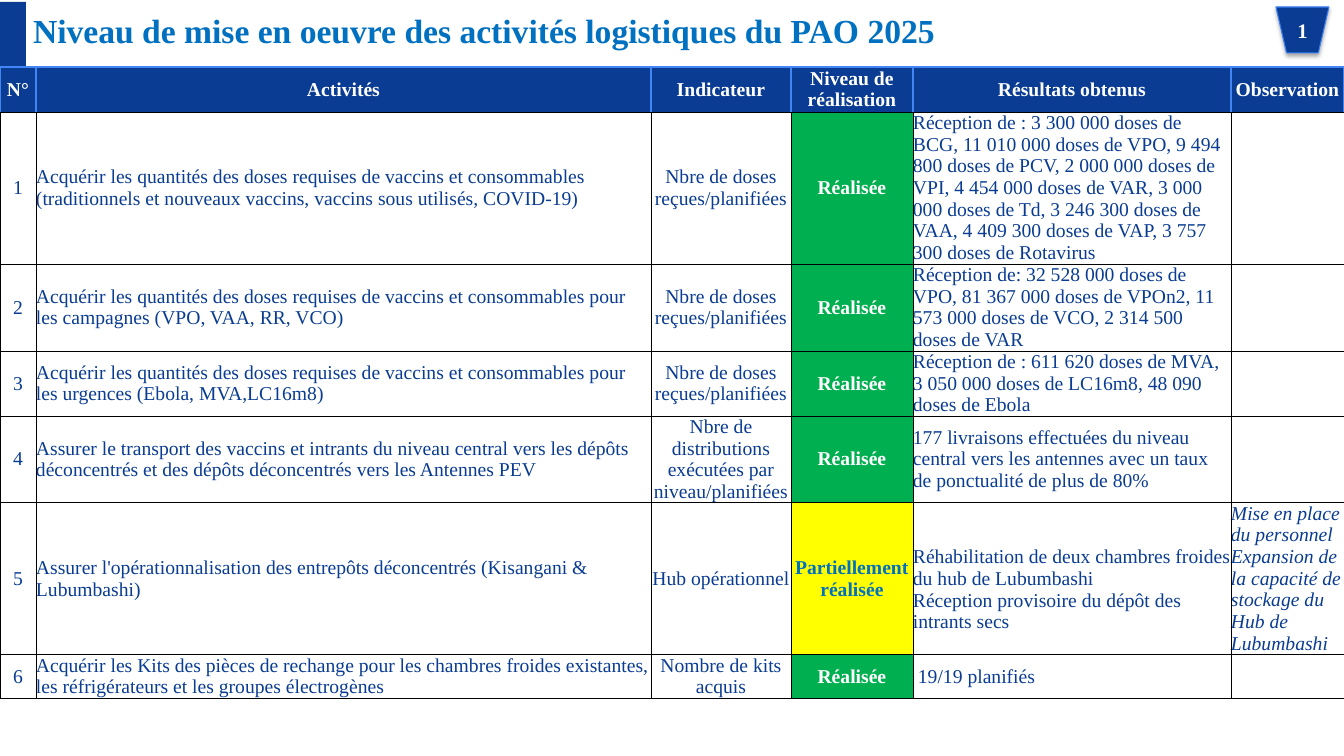
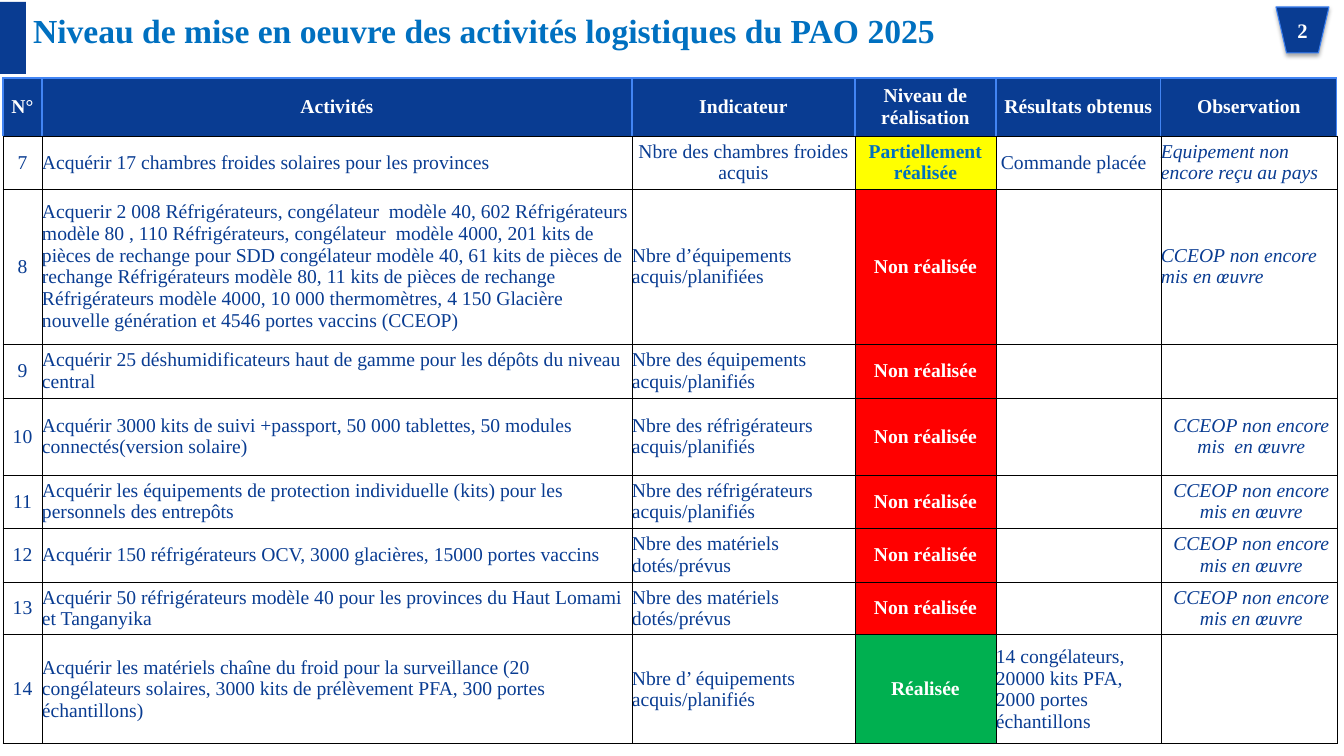
import pptx
import pptx.util
import pptx.dml.color
import pptx.enum.shapes
import pptx.enum.text
import pptx.oxml
import pptx.oxml.ns
from dataclasses import dataclass

SCALE = 914400 / 100.8  # EMU in one px
WIDE, HIGH = 1344, 756


@dataclass(frozen=True)
class Theme:
    font: str = "Times New Roman"
    navy: str = "093C92"
    blue: str = "0070C0"
    edge: str = "3C81F3"
    rule: str = "4285F4"
    white: str = "FFFFFF"
    black: str = "000000"
    green: str = "00B050"
    yellow: str = "FFFF00"
    red: str = "FF0000"
    head: float = 24
    badge: float = 14.7
    body: float = 14


THEME = Theme()
ALIGN = pptx.enum.text.PP_ALIGN
MIDDLE = pptx.enum.text.MSO_ANCHOR.MIDDLE
SHAPE = pptx.enum.shapes.MSO_SHAPE

TITLE = "Niveau de mise en oeuvre des activités logistiques du PAO 2025"
HEADS = ("N°", "Activités", "Indicateur", "Niveau de réalisation",
         "Résultats obtenus", "Observation")

DONE, PART, NONE = "Réalisée", "Partiellement réalisée", "Non réalisée"
STATES = {  # fill, text colour
    DONE: (THEME.green, THEME.white),
    PART: (THEME.yellow, THEME.blue),
    NONE: (THEME.red, THEME.white),
}

DOSES = "Nbre de doses reçues/planifiées"
COOLERS = "Nbre des réfrigérateurs acquis/planifiés"
GEAR = "Nbre des matériels dotés/prévus"
WAIT = "CCEOP non encore mis en œuvre"

TABLES = [
    {
        "at": (0, 67),
        "cols": (36, 615, 140, 122, 318, 113),
        "rows": (45, 152, 87, 65, 86, 152, 43),
        "data": [
            ("1", "Acquérir les quantités des doses requises de vaccins et consommables "
             "(traditionnels et nouveaux vaccins, vaccins sous utilisés, COVID-19)",
             DOSES, DONE,
             "Réception de : 3 300 000 doses de BCG, 11 010 000 doses de VPO, "
             "9 494 800 doses de PCV, 2 000 000 doses de VPI, 4 454 000 doses de VAR, "
             "3 000 000 doses de Td, 3 246 300 doses de VAA, 4 409 300 doses de VAP, "
             "3 757 300 doses de Rotavirus", ""),
            ("2", "Acquérir les quantités des doses requises de vaccins et consommables "
             "pour les campagnes (VPO, VAA, RR, VCO)",
             DOSES, DONE,
             "Réception de: 32 528 000 doses de VPO, 81 367 000 doses de VPOn2, "
             "11 573 000 doses de VCO, 2 314 500 doses de VAR", ""),
            ("3", "Acquérir les quantités des doses requises de vaccins et consommables "
             "pour les urgences (Ebola, MVA,LC16m8)",
             DOSES, DONE,
             "Réception de : 611 620 doses de MVA, 3 050 000 doses de LC16m8, "
             "48 090 doses de Ebola", ""),
            ("4", "Assurer le transport des vaccins et intrants du niveau central vers "
             "les dépôts déconcentrés et des dépôts déconcentrés vers les Antennes PEV",
             "Nbre de distributions exécutées par niveau/planifiées", DONE,
             "177 livraisons effectuées du niveau central vers les antennes avec un "
             "taux de ponctualité de plus de 80%", ""),
            ("5", "Assurer l'opérationnalisation des entrepôts déconcentrés "
             "(Kisangani & Lubumbashi)",
             "Hub opérationnel", PART,
             "Réhabilitation de deux chambres froides du hub de Lubumbashi\n"
             "Réception provisoire du dépôt des intrants secs",
             "Mise en place du personnel\n"
             "Expansion de la capacité de stockage du Hub de Lubumbashi"),
            ("6", "Acquérir les Kits des pièces de rechange pour les chambres froides "
             "existantes, les réfrigérateurs et les groupes électrogènes",
             "Nombre de kits acquis", DONE, "19/19 planifiés", ""),
        ],
    },
    {
        "at": (3, 78),
        "cols": (39, 590, 223, 141, 165, 176),
        "rows": (58, 53, 155, 54, 77, 53, 54, 53, 109),
        "data": [
            ("7", "Acquérir 17 chambres froides solaires pour les provinces",
             "Nbre des chambres froides acquis", PART, "Commande placée",
             "Equipement non encore reçu au pays"),
            ("8", "Acquerir 2 008 Réfrigérateurs, congélateur  modèle 40, "
             "602 Réfrigérateurs modèle 80 , 110 Réfrigérateurs, congélateur  modèle "
             "4000, 201 kits de pièces de rechange pour SDD congélateur modèle 40, "
             "61 kits de pièces de rechange Réfrigérateurs modèle 80, 11 kits de pièces "
             "de rechange Réfrigérateurs modèle 4000, 10 000 thermomètres, "
             "4 150 Glacière nouvelle génération et 4546 portes vaccins (CCEOP)",
             "Nbre d’équipements acquis/planifiées", NONE, "", WAIT),
            ("9", "Acquérir 25 déshumidificateurs haut de gamme pour les dépôts du "
             "niveau central",
             "Nbre des équipements acquis/planifiés", NONE, "", ""),
            ("10", "Acquérir 3000 kits de suivi +passport, 50 000 tablettes, 50 modules "
             "connectés(version solaire)",
             COOLERS, NONE, "", "CCEOP non encore mis  en œuvre"),
            ("11", "Acquérir les équipements de protection individuelle (kits) pour les "
             "personnels des entrepôts", COOLERS, NONE, "", WAIT),
            ("12", "Acquérir 150 réfrigérateurs OCV, 3000 glacières, 15000 portes vaccins",
             GEAR, NONE, "", WAIT),
            ("13", "Acquérir 50 réfrigérateurs modèle 40 pour les provinces du Haut "
             "Lomami et Tanganyika", GEAR, NONE, "", WAIT),
            ("14", "Acquérir les matériels chaîne du froid pour la surveillance "
             "(20 congélateurs solaires, 3000 kits de prélèvement PFA, 300 portes "
             "échantillons)",
             "Nbre d’ équipements acquis/planifiés", DONE,
             "14 congélateurs, 20000 kits PFA, 2000 portes échantillons", ""),
        ],
    },
]

# Extra cell margins in px (left, top), by row number and column
INSETS = {("5", 4): (0, 22), ("6", 4): (5, 0), ("7", 4): (5, 0)}
INSETS.update({(str(num), 5): (5, 0) for num in range(10, 14)})


def px(count):
    return pptx.util.Emu(round(count * SCALE))


def color(code):
    return pptx.dml.color.RGBColor.from_string(code)


def box(*sides):
    return [px(side) for side in sides]


def pad(item, left=0, top=0):
    item.margin_left, item.margin_top = px(left), px(top)
    item.margin_right = item.margin_bottom = 0


def style(frame, size, code, bold=False, slant=False, align=ALIGN.LEFT):
    for para in frame.paragraphs:
        para.alignment = align
        for run in para.runs:
            font = run.font
            font.name, font.size = THEME.font, pptx.util.Pt(size)
            font.bold, font.italic = bold, slant
            font.color.rgb = color(code)


def border(cell, code, width):
    """Draw left, right and top in the given line; the bottom is thin black."""
    props = cell._tc.get_or_add_tcPr()
    for side in "LRTB":
        tint, points = (THEME.black, 0.5) if side == "B" else (code, width)
        props.append(pptx.oxml.parse_xml(
            f'<a:ln{side} {pptx.oxml.ns.nsdecls("a")} w="{pptx.util.Pt(points)}">'
            f'<a:solidFill><a:srgbClr val="{tint}"/></a:solidFill></a:ln{side}>'))


def paint(cell, code):
    if code:
        cell.fill.solid()
        cell.fill.fore_color.rgb = color(code)
    else:
        cell.fill.background()


def centred(num, col):
    """Tell whether a body cell is centred."""
    if col == 2:
        return num <= 7
    if col == 5:
        return 10 <= num <= 13
    return col in (0, 3)


def fill_cell(cell, text, key, col):
    """Fill one cell; key is the row number, or None in the header row."""
    fill, code, bold, slant, middle = None, THEME.navy, False, False, True
    line = (THEME.black, 0.5)
    if key is None:
        fill, code, bold, line = THEME.navy, THEME.white, True, (THEME.rule, 1)
    else:
        middle, slant = centred(int(key), col), col == 5
        if col == 3:
            (fill, code), bold = STATES[text], True
    cell.text_frame.text = text
    cell.vertical_anchor = MIDDLE
    pad(cell, *INSETS.get((key, col), (0, 0)))
    border(cell, *line)
    paint(cell, fill)
    style(cell.text_frame, THEME.body, code, bold, slant,
          ALIGN.CENTER if middle else ALIGN.LEFT)


def add_grid(slide, plan):
    cols, rows = plan["cols"], plan["rows"]
    table = slide.shapes.add_table(
        len(rows), len(cols), *box(*plan["at"], sum(cols), sum(rows))).table
    table.first_row = table.horz_banding = False
    for part, width in zip(table.columns, cols):
        part.width = px(width)
    for part, height in zip(table.rows, rows):
        part.height = px(height)
    for row, texts in enumerate([HEADS, *plan["data"]]):
        key = texts[0] if row else None
        for col, text in enumerate(texts):
            fill_cell(table.cell(row, col), text, key, col)


def add_shape(slide, kind, *sides):
    shape = slide.shapes.add_shape(kind, *box(*sides))
    shape.shadow.inherit = False
    shape.fill.solid()
    shape.fill.fore_color.rgb = color(THEME.navy)
    shape.line.fill.background()
    return shape


def add_badge(slide, num):
    badge = add_shape(slide, SHAPE.FLOWCHART_MANUAL_OPERATION, 1276, 7, 53, 46)
    badge.line.color.rgb = color(THEME.edge)
    badge.line.width = pptx.util.Pt(0.75)
    effects = badge._element.spPr.find(pptx.oxml.ns.qn("a:effectLst"))
    effects.append(pptx.oxml.parse_xml(
        f'<a:outerShdw {pptx.oxml.ns.nsdecls("a")} blurRad="{pptx.util.Pt(3.1)}" '
        f'dist="{pptx.util.Pt(1.8)}" dir="5400000" rotWithShape="0">'
        f'<a:srgbClr val="{THEME.black}"><a:alpha val="35000"/></a:srgbClr>'
        '</a:outerShdw>'))
    frame = badge.text_frame
    frame.text = str(num)
    frame.vertical_anchor = MIDDLE
    pad(frame)
    style(frame, THEME.badge, THEME.white, bold=True, align=ALIGN.CENTER)


def add_title(slide):
    title = slide.shapes.title
    title.left, title.top, title.width, title.height = box(33, 10, 1243, 58)
    frame = title.text_frame
    frame.text = TITLE
    frame.word_wrap = True
    frame.vertical_anchor = pptx.enum.text.MSO_ANCHOR.TOP
    pad(frame)
    style(frame, THEME.head, THEME.blue, bold=True)


def main():
    deck = pptx.Presentation()
    deck.slide_width, deck.slide_height = px(WIDE), px(HIGH)
    for num, plan in enumerate(TABLES, 1):
        slide = deck.slides.add_slide(deck.slide_layouts[5])
        add_title(slide)
        add_shape(slide, SHAPE.RECTANGLE, 0, 2, 26, 72)
        add_badge(slide, num)
        add_grid(slide, plan)
    deck.save("out.pptx")


if __name__ == "__main__":
    main()
